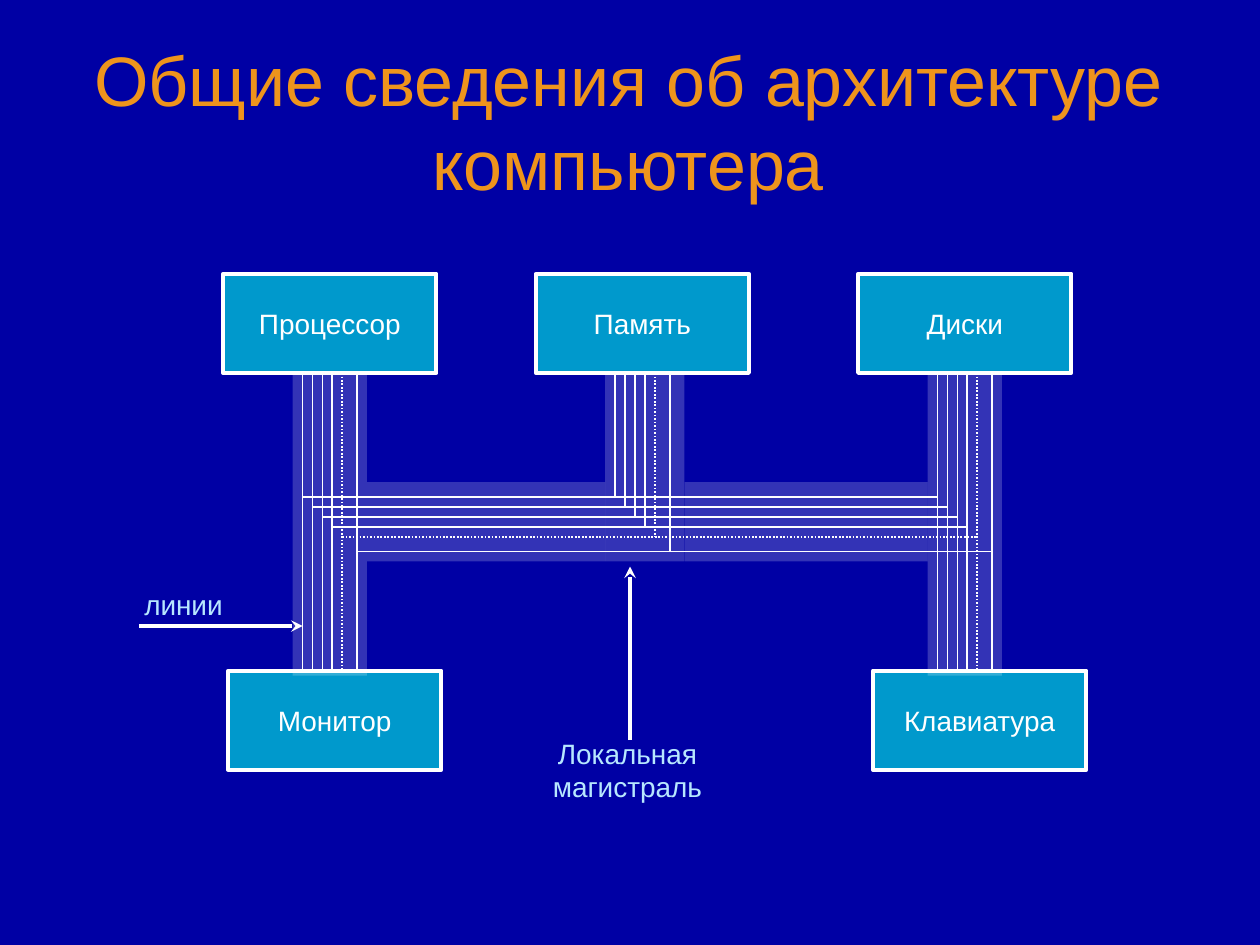
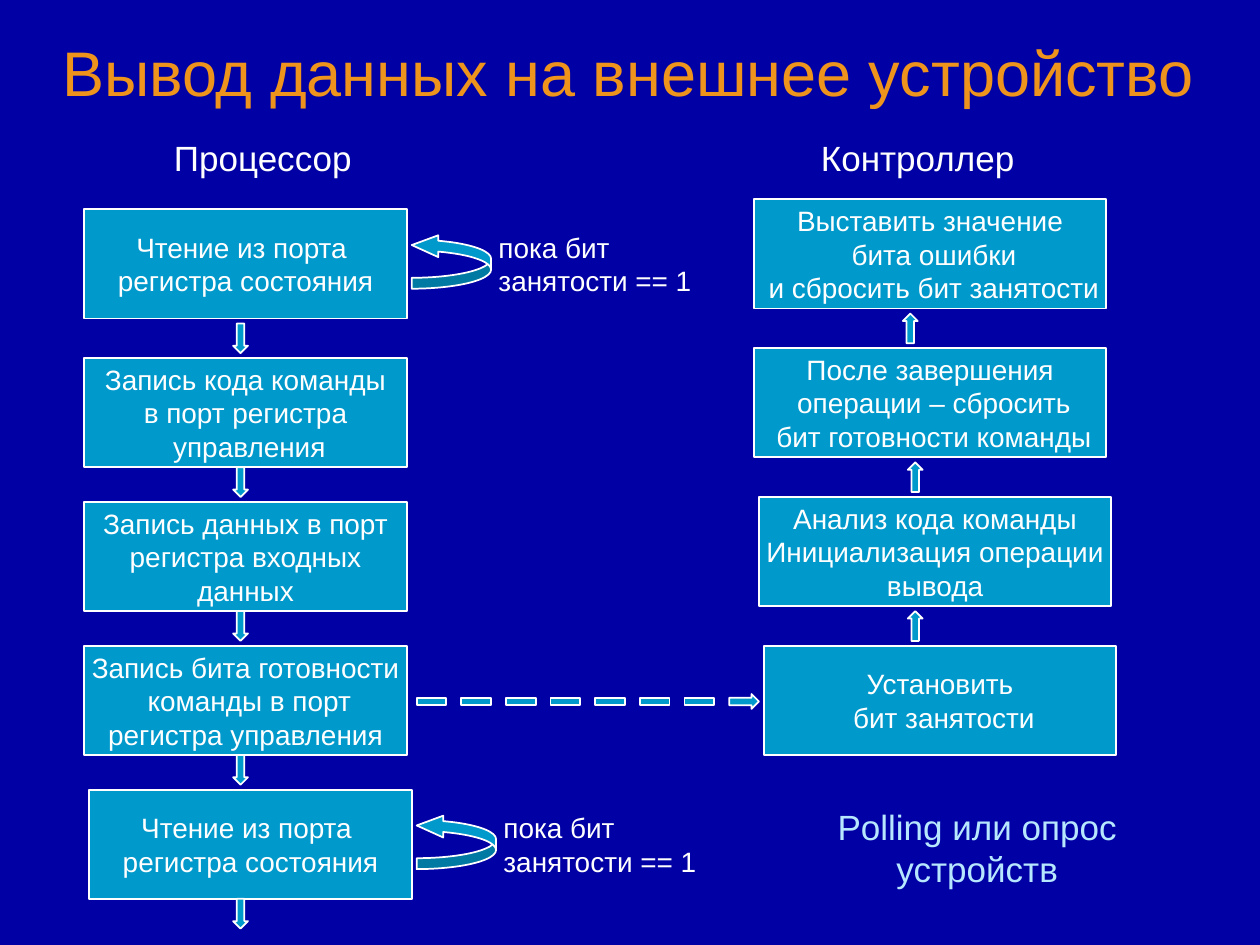
import copy

import lxml.etree
import pptx
import pptx.dml.color
import pptx.enum.dml
import pptx.enum.shapes
import pptx.enum.text
import pptx.oxml.ns
import pptx.util

RGB = pptx.dml.color.RGBColor
NAVY = RGB(0x00, 0x00, 0xA4)
ORANGE = RGB(0xEE, 0x94, 0x1C)
TEAL = RGB(0x00, 0x99, 0xCC)
WHITE = RGB(0xFF, 0xFF, 0xFF)
PALE = RGB(0xB7, 0xE7, 0xFF)

SHAPE = pptx.enum.shapes.MSO_SHAPE
ALIGN = pptx.enum.text.PP_ALIGN
ANCHOR = pptx.enum.text.MSO_ANCHOR
qn = pptx.oxml.ns.qn

SLIDE_W = pptx.util.Inches(10)
SLIDE_H = pptx.util.Inches(7.5)
COLUMNS = 254
CELL = SLIDE_W / COLUMNS

WIRES = (0, 2, 4, 6, 8, 11)
DOTTED_WIRE = 8
BLOCK_W, BLOCK_H = 43, 20
STEP_H = 22
ARROW_W, ARROW_H = 3, 6


def grid(*cells):
    return [round(c * CELL) for c in cells]


def write(s, text, size, color, align=ALIGN.CENTER, anchor=ANCHOR.TOP, wrap=True):
    tf = s.text_frame
    tf.word_wrap = wrap
    tf.vertical_anchor = anchor
    tf.text = text
    style = {"name": "Arial", "size": pptx.util.Pt(size)}
    for p in tf.paragraphs:
        p.alignment = align
        for r in p.runs:
            for key, value in style.items():
                setattr(r.font, key, value)
            r.font.color.rgb = color
        for br in p._p.findall(qn("a:br")):
            br.insert(0, copy.deepcopy(p.runs[0]._r.rPr))


def add_text(slide, box, text, size, color, **layout):
    write(slide.shapes.add_textbox(*grid(*box)), text, size, color, **layout)


def add_figure(slide, kind, box, line=1, rotation=0):
    s = slide.shapes.add_shape(kind, *grid(*box))
    s.shadow.inherit = False
    s.fill.solid()
    s.fill.fore_color.rgb = TEAL
    s.line.color.rgb = WHITE
    s.line.width = pptx.util.Pt(line)
    s.rotation = rotation
    return s


def add_block(slide, box, text, line=1):
    s = add_figure(slide, SHAPE.RECTANGLE, box, line)
    write(s, text, 16, WHITE, anchor=ANCHOR.MIDDLE, wrap=False)


def add_band(slide, box):
    s = add_figure(slide, SHAPE.RECTANGLE, box)
    s.fill.fore_color.rgb = WHITE
    s.line.fill.background()
    color = s._element.spPr.find(qn("a:solidFill"))[0]
    lxml.etree.SubElement(color, qn("a:alpha"), val="20000")


def add_line(slide, start, end, width=1, dotted=False, arrow=False):
    s = slide.shapes.add_connector(
        pptx.enum.shapes.MSO_CONNECTOR.STRAIGHT, *grid(*start, *end))
    s.line.color.rgb = WHITE
    s.line.width = pptx.util.Pt(width)
    if dotted:
        s.line.dash_style = pptx.enum.dml.MSO_LINE.ROUND_DOT
    if arrow:
        lxml.etree.SubElement(s.line._get_or_add_ln(), qn("a:tailEnd"), type="stealth")
    lxml.etree.SubElement(s._element.spPr, qn("a:effectLst"))


def add_slide(prs, title, top, height, size):
    slide = prs.slides.add_slide(prs.slide_layouts[6])
    slide.background.fill.solid()
    slide.background.fill.fore_color.rgb = NAVY
    add_text(slide, (8.4, top, 236.5, height), title, size, ORANGE, anchor=ANCHOR.MIDDLE)
    return slide


def draw_bus(slide, left, top):
    blocks = [
        (22, 0, "Процессор"), (85, 0, "Память"), (150, 0, "Диски"),
        (23, 80, "Монитор"), (153, 80, "Клавиатура"),
    ]
    for x, y, name in blocks:
        add_block(slide, (left + x, top + y, BLOCK_W, BLOCK_H), name, 2.25)

    cpu, memory, disks = (left + x for x in (38, 101, 166))
    bus = top + 45
    for offset in WIRES:
        dotted = offset == DOTTED_WIRE
        runs = [
            ((cpu, top + BLOCK_H), (cpu, top + 80)),
            ((disks, top + BLOCK_H), (disks, top + 80)),
            ((memory, top + BLOCK_H), (memory, bus + offset)),
        ]
        for (x, y1), (_, y2) in runs:
            add_line(slide, (x + offset, y1), (x + offset, y2), dotted=dotted)
        add_line(slide, (cpu + offset, bus + offset), (disks + offset, bus + offset),
                 dotted=dotted)

    bands = [(36, 20, 15, 61), (99, 20, 16, 38), (164, 20, 15, 61),
             (51, 42, 48, 16), (115, 42, 49, 16)]
    for x, y, w, h in bands:
        add_band(slide, (left + x, top + y, w, h))

    add_line(slide, (left + 5, top + 71), (cpu, top + 71), 2.25, arrow=True)
    add_line(slide, (left + 104, top + 94), (left + 104, top + 59), 2.25, arrow=True)
    add_text(slide, (left, top + 62, 28, 9.4), "линии", 16, PALE)
    add_text(slide, (left + 75, top + 92, 57, 16.3), "Локальная магистраль", 16, PALE)


def draw_wait_loop(slide, left, top):
    s = add_figure(slide, SHAPE.CURVED_RIGHT_ARROW, (left, top + 2, 16, 11), rotation=180)
    for i, value in enumerate((0.2, 0.4, 0.486)):
        s.adjustments[i] = value
    add_text(slide, (left + 15, top, 48, 16.3), "пока бит занятости == 1", 16, WHITE,
             align=ALIGN.LEFT)


def draw_processor(slide, left, top):
    add_text(slide, (left + 9, top, 54, 11), "Процессор", 20, WHITE)
    read = "Чтение из порта \vрегистра состояния"
    steps = [
        (0, 16, read),
        (0, 46, "Запись кода команды\vв порт регистра\v управления"),
        (0, 75, "Запись данных в порт\vрегистра входных\vданных"),
        (0, 104, "Запись бита готовности\n команды в порт\vрегистра управления"),
        (1, 133, read),
    ]
    for x, y, text in steps:
        add_block(slide, (left + x, top + y, 65, STEP_H), text)
        if text == read:
            draw_wait_loop(slide, left + x + 66, top + y + 3)
    for y in [y for _, y, _ in steps[1:]] + [162]:
        add_figure(slide, SHAPE.DOWN_ARROW, (left + 30, top + y - 7, ARROW_W, ARROW_H))


def draw_controller(slide, left, top):
    add_text(slide, (left + 6, top, 54, 11), "Контроллер", 20, WHITE)
    steps = [
        (0, "Выставить значение\v бита ошибки\v и сбросить бит занятости"),
        (0, "После завершения\v операции – сбросить\v бит готовности команды"),
        (1, "Анализ кода команды\nИнициализация операции\vвывода"),
        (2, "Установить\v бит занятости"),
    ]
    for i, (x, text) in enumerate(steps):
        y = top + 14 + 30 * i
        add_block(slide, (left + x, y, 71, STEP_H), text)
        if i:
            add_figure(slide, SHAPE.DOWN_ARROW,
                       (left + 30 + min(i - 1, 1), y - 7, ARROW_W, ARROW_H), rotation=180)
    add_text(slide, (left + 2, top + 135, 86, 19.6), "Polling или опрос устройств", 20, PALE)


def draw_signal(slide, left, middle):
    for i in range(7):
        add_figure(slide, SHAPE.RECTANGLE, (left + 9 * i, middle - 0.75, 6, 1.5))
    add_figure(slide, SHAPE.DOWN_ARROW,
               (left + 64.5, middle - ARROW_H / 2, ARROW_W, ARROW_H), rotation=270)


def main():
    prs = pptx.Presentation()
    prs.slide_width, prs.slide_height = SLIDE_W, SLIDE_H

    slide = add_slide(prs, "Общие сведения об архитектуре компьютера", 6.4, 35.8, 40)
    draw_bus(slide, 23, 55.2)

    slide = add_slide(prs, "Вывод данных на внешнее устройство", 4.3, 20, 36)
    draw_processor(slide, 17, 26.2)
    draw_controller(slide, 152, 26.2)
    draw_signal(slide, 84, 141.4)

    prs.save("out.pptx")


if __name__ == "__main__":
    main()
